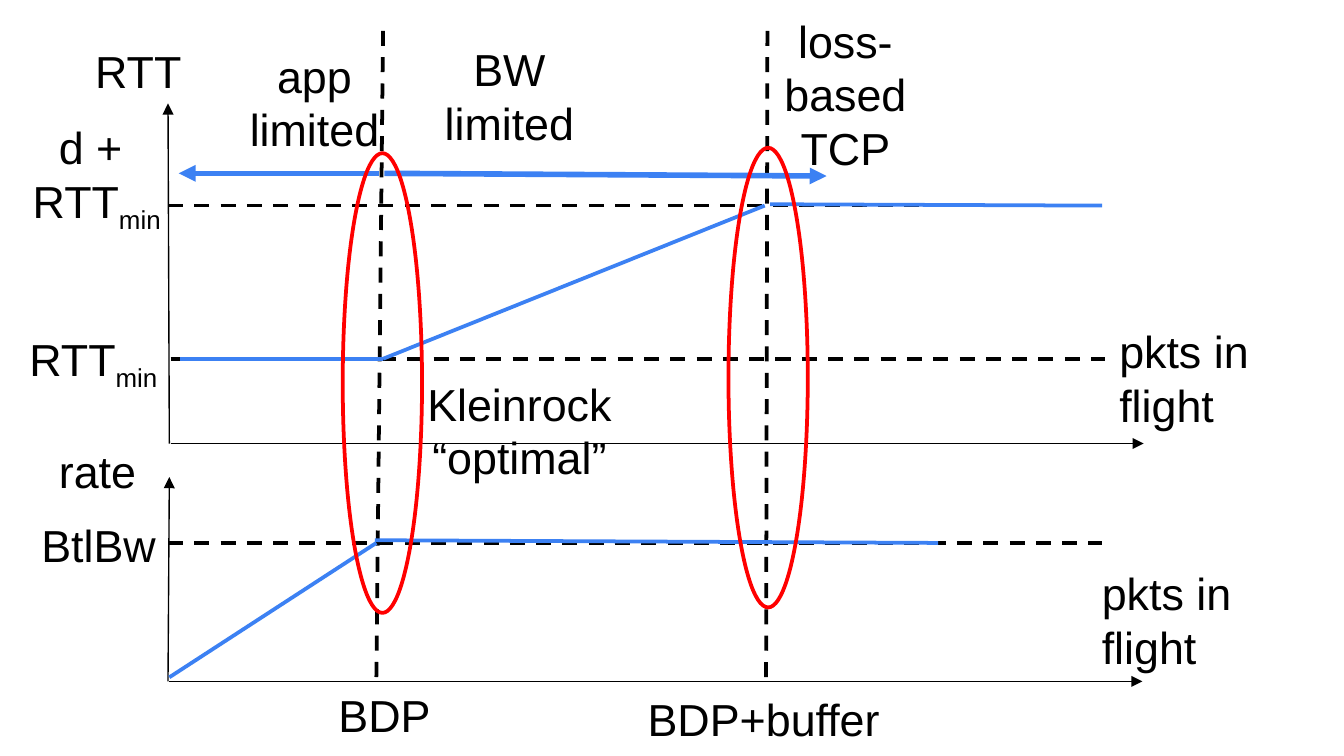
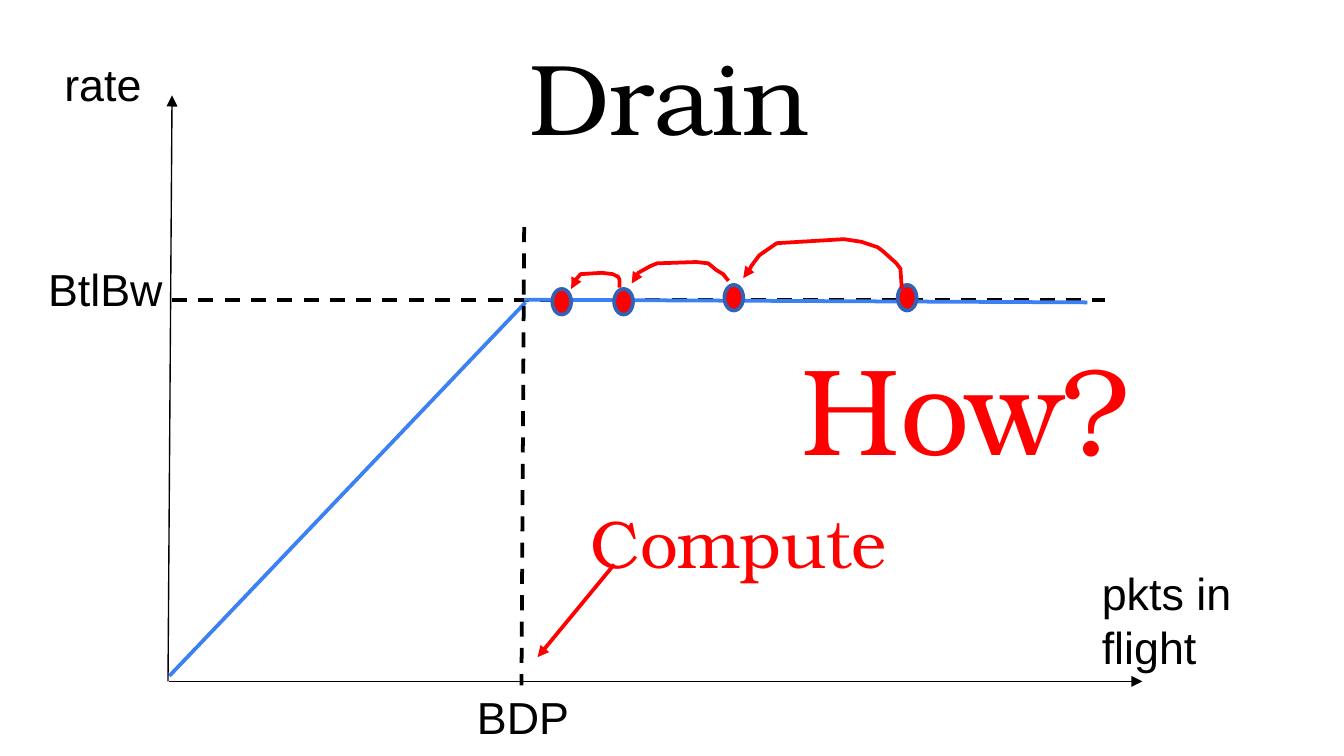
"""Build two slides on round-trip time, delivery rate and draining the queue."""
from pptx import Presentation
from pptx.dml.color import RGBColor
from pptx.enum import dml, shapes, text
from pptx.oxml.ns import qn
from pptx.util import Inches, Pt
from lxml import etree

COLORS = {"ink": "000000", "curve": "3C81F3", "mark": "FF0000", "rim": "3162B5"}
SANS, SERIF = "Arial", "TeX Gyre Bonum"
STYLES = {
    "axis": ("ink", 0.75, False, True),
    "guide": ("ink", 2, True, False),
    "curve": ("curve", 2, False, False),
    "floor": ("curve", 2.25, False, False),
    "range": ("curve", 3, False, True),
    "mark": ("mark", 2, False, True),
    "ring": ("mark", 2, False, False),
    "dot": ("rim", 2, False, False),
}
CENTER, LEFT = text.PP_ALIGN.CENTER, text.PP_ALIGN.LEFT
BASE_Y, ORIGIN_X = 5.07, 1.26


def color(name):
    """Return the named colour."""
    return RGBColor.from_string(COLORS[name])


def style_line(item, style):
    """Give a shape or connector one of the shared line styles."""
    tint, width, dashed, arrow = STYLES[style]
    item.line.color.rgb = color(tint)
    item.line.width = Pt(width)
    if dashed:
        item.line.dash_style = dml.MSO_LINE.DASH
    if arrow:
        etree.SubElement(item.get_or_add_ln(), qn("a:tailEnd"), type="triangle")


def add_line(page, style, x1, y1, x2, y2):
    """Draw a straight line between two points."""
    line = page.shapes.add_connector(
        shapes.MSO_CONNECTOR.STRAIGHT, Inches(x1), Inches(y1), Inches(x2), Inches(y2))
    style_line(line, style)
    etree.SubElement(line._element.spPr, qn("a:effectLst"))


def add_ellipse(page, style, left, top, width, height, fill=None):
    """Draw an outlined ellipse, filled if a colour is named."""
    ellipse = page.shapes.add_shape(
        shapes.MSO_SHAPE.OVAL, Inches(left), Inches(top), Inches(width), Inches(height))
    ellipse.shadow.inherit = False
    if fill:
        ellipse.fill.solid()
        ellipse.fill.fore_color.rgb = color(fill)
    else:
        ellipse.fill.background()
    style_line(ellipse, style)


def add_hop(page, points):
    """Draw an open arched arrow through the points."""
    start, *rest = [(Inches(x), Inches(y)) for x, y in points]
    builder = page.shapes.build_freeform(*start)
    builder.add_line_segments(rest, close=False)
    hop = builder.convert_to_shape()
    hop.shadow.inherit = False
    hop.fill.background()
    style_line(hop, "mark")


def format_para(para, size, face, tint, align):
    """Set the font and alignment of a paragraph."""
    para.alignment = align
    para.font.size = Pt(size)
    para.font.name = face
    para.font.color.rgb = color(tint)


def add_label(page, words, left, top, width, height, align=LEFT, wrap=False,
              subscript="", size=24, face=SANS, tint="ink"):
    """Add a text box, with an optional subscript after its last line."""
    box = page.shapes.add_textbox(Inches(left), Inches(top), Inches(width), Inches(height))
    frame = box.text_frame
    frame.text = words
    frame.word_wrap = wrap
    frame.auto_size = text.MSO_AUTO_SIZE.SHAPE_TO_FIT_TEXT
    for para in frame.paragraphs:
        format_para(para, size, face, tint, align)
    if subscript:
        span = frame.paragraphs[-1].add_run()
        span.text = subscript
        span._r.get_or_add_rPr().set("baseline", "-25000")


def add_flight_label(page, left, top):
    """Name a horizontal axis."""
    add_label(page, "pkts in \nflight", left, top, 1.27, 0.91)


def add_rate_axes(page, tip_x, tip_y, rate_at, bottleneck_at, bdp_at):
    """Draw the rate plot's axes and their labels."""
    add_line(page, "axis", 1.25, BASE_Y, tip_x, tip_y)
    add_line(page, "axis", ORIGIN_X, BASE_Y, 8.5, BASE_Y)
    add_label(page, "rate", *rate_at, 0.78, 0.5)
    add_label(page, "BtlBw", *bottleneck_at, 1.06, 0.5)
    add_label(page, "BDP", *bdp_at, 0.89, 0.5)
    add_flight_label(page, 8.1, 4.16)


def build_limits(deck):
    """Build the slide that compares RTT and rate across operating ranges."""
    page = deck.slides.add_slide(deck.slide_layouts[6])
    add_line(page, "axis", 1.26, 3.3, 1.25, 0.77)
    add_line(page, "axis", 1.27, 3.3, 8.51, 3.3)
    add_flight_label(page, 8.23, 2.36)
    add_rate_axes(page, 1.26, 3.55, (0.34, 3.25), (0.21, 3.8), (2.42, 5.07))

    for ends in [(2.85, 0.23, 2.8, BASE_Y), (5.71, 0.23, 5.7, BASE_Y),
                 (1.25, 1.53, 8.2, 1.53), (1.27, 2.67, 8.22, 2.67),
                 (1.25, 4.04, 8.2, 4.04)]:
        add_line(page, "guide", *ends)
    for ends in [(2.85, 2.67, 5.69, 1.53), (5.73, 1.52, 8.2, 1.53),
                 (ORIGIN_X, 5.04, 2.8, 4.04), (2.79, 4.02, 6.98, 4.04)]:
        add_line(page, "curve", *ends)
    add_line(page, "floor", 2.85, 2.67, 1.34, 2.67)
    add_line(page, "range", 2.82, 1.29, 1.33, 1.29)
    add_line(page, "range", 2.86, 1.29, 6.15, 1.31)
    for left, top in [(5.42, 1.1), (2.55, 1.14)]:
        add_ellipse(page, "ring", left, top, 0.59, 3.42)

    add_label(page, "RTT", 0.61, 0.28, 0.86, 0.5)
    add_label(page, "RTT", 0.12, 2.42, 1.22, 0.5, subscript="min")
    add_label(page, "d + \vRTT", 0.11, 0.84, 1.22, 0.91, CENTER, subscript="min")
    add_label(page, "BDP+buffer", 4.72, 5.1, 1.95, 0.5)
    add_label(page, "app\nlimited", 1.75, 0.31, 1.18, 0.91, CENTER)
    add_label(page, "BW\nlimited", 3.2, 0.26, 1.18, 0.91, CENTER, True)
    add_label(page, "loss-based TCP", 5.7, 0.05, 1.18, 1.31, CENTER, True)
    add_label(page, "Kleinrock\v“optimal”", 2.78, 2.75, 2.17, 0.91, CENTER, True)


def add_title(page, words):
    """Place and format the slide title."""
    title = page.shapes.title
    title.left, title.top = Inches(0.16), Inches(0.16)
    title.width, title.height = Inches(9.64), Inches(1.16)
    frame = title.text_frame
    frame.text = words
    frame.auto_size = text.MSO_AUTO_SIZE.NONE
    frame.vertical_anchor = text.MSO_ANCHOR.TOP
    frame.margin_top = frame.margin_bottom = Inches(0.1)
    format_para(frame.paragraphs[0], 54, SERIF, "ink", CENTER)


def build_drain(deck):
    """Build the slide that steps the flight size back to the BDP."""
    page = deck.slides.add_slide(deck.slide_layouts[5])
    add_title(page, "Drain")
    add_line(page, "curve", ORIGIN_X, 5.03, 3.91, 2.25)
    add_line(page, "guide", 3.9, 1.69, 3.88, 5.1)
    add_line(page, "guide", 1.28, 2.23, 8.22, 2.23)
    add_line(page, "curve", 3.9, 2.23, 8.09, 2.25)
    add_rate_axes(page, 1.28, 0.71, (0.38, 0.37), (0.26, 1.9), (3.45, 5.08))

    for left, top in [(6.68, 2.12), (5.39, 2.12), (4.57, 2.15), (4.11, 2.15)]:
        add_ellipse(page, "dot", left, top, 0.14, 0.19, "mark")
    hops = [
        [(6.71, 2.15), (6.7, 2), (6.67, 1.96), (6.57, 1.87), (6.53, 1.84), (6.41, 1.8),
         (6.28, 1.78), (5.78, 1.81), (5.65, 1.9), (5.59, 1.98), (5.56, 2.04), (5.53, 2.07)],
        [(5.42, 2.09), (5.38, 2.04), (5.33, 2.01), (5.27, 1.96), (5.18, 1.95),
         (4.89, 1.96), (4.84, 1.98), (4.75, 2.03), (4.7, 2.11)],
        [(4.61, 2.14), (4.61, 2.08), (4.6, 2.06), (4.56, 2.04), (4.48, 2.03),
         (4.32, 2.04), (4.27, 2.1), (4.25, 2.15)],
    ]
    for points in hops:
        add_hop(page, points)

    add_label(page, "How?", 5.63, 2.42, 3.11, 1.21, CENTER, True,
              size=66, face=SERIF, tint="mark")
    add_label(page, "Compute", 3.45, 3.68, 4.09, 0.71, CENTER, True,
              size=36, face=SERIF, tint="mark")
    add_line(page, "mark", 4.57, 4.2, 4, 4.89)


def main():
    """Build and save the deck in 16:9 format."""
    deck = Presentation()
    deck.slide_width = Inches(10)
    deck.slide_height = Inches(10) * 9 // 16
    build_limits(deck)
    build_drain(deck)
    deck.save("out.pptx")


main()
